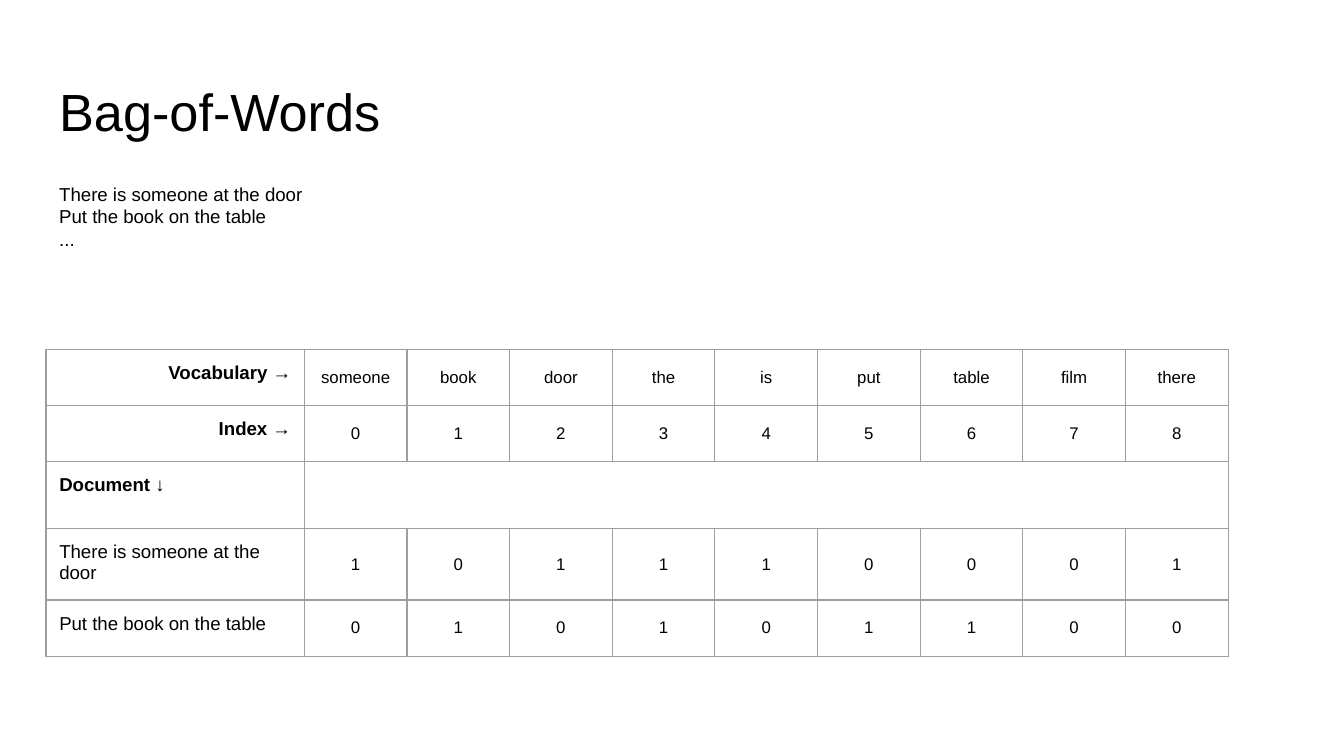
from pptx import Presentation
from pptx.dml.color import RGBColor
from pptx.enum.text import MSO_ANCHOR as Anchor, PP_ALIGN as Align
from pptx.oxml import parse_xml
from pptx.oxml.ns import nsdecls
from pptx.util import Cm, Pt

COLORS = {"text": "000000", "border": "9E9E9E"}
FONT = "Arial"
INSET = Cm(0.25)
SENTENCES = ["There is someone at the door", "Put the book on the table"]
VOCABULARY = ["someone", "book", "door", "the", "is", "put", "table", "film", "there"]


def add_span(para, text, size, bold=False):
    span = para.add_run()
    span.text = text
    span.font.name = FONT
    span.font.size = Pt(size)
    span.font.bold = bold
    span.font.color.rgb = RGBColor.from_string(COLORS["text"])


def add_text(page, box, lines, size):
    """Place one paragraph per line inside the box."""
    frame = page.shapes.add_textbox(*box).text_frame
    frame.word_wrap = True
    frame.margin_left = frame.margin_right = INSET
    frame.margin_top = frame.margin_bottom = INSET
    for number, line in enumerate(lines):
        para = frame.add_paragraph() if number else frame.paragraphs[0]
        add_span(para, line, size)


def style_cell(cell):
    """Clear the fill, set the margins and draw all four borders."""
    cell.margin_left = cell.margin_right = INSET
    cell.margin_top = cell.margin_bottom = INSET
    properties = cell._tc.get_or_add_tcPr()
    for side in ("lnL", "lnR", "lnT", "lnB"):
        properties.append(parse_xml(
            f'<a:{side} {nsdecls("a")} w="{Pt(0.75)}"><a:solidFill>'
            f'<a:srgbClr val="{COLORS["border"]}"/></a:solidFill></a:{side}>'))
    cell.fill.background()


def add_count_table(page, box):
    """Place the vocabulary, its indexes and the word counts per document."""
    left, top, width, height = box
    # Label, label alignment, bold label, values, row height in cm
    rows = [
        ("Vocabulary →", Align.RIGHT, True, VOCABULARY, 1.06),
        ("Index →", Align.RIGHT, True, range(len(VOCABULARY)), 1.06),
        ("Document ↓", Align.LEFT, True, [], 1.22),
    ]
    for sentence, row_height in zip(SENTENCES, (1.3, 1.06)):
        words = sentence.lower().split()
        counts = [int(word in words) for word in VOCABULARY]
        rows.append((sentence, Align.LEFT, False, counts, row_height))

    table = page.shapes.add_table(len(rows), len(VOCABULARY) + 1, *box).table
    table.first_row = table.horz_banding = False
    label_width = Cm(4.88)
    for number, column in enumerate(table.columns):
        column.width = (width - label_width) // len(VOCABULARY) if number else label_width

    for number, (label, align, bold, values, row_height) in enumerate(rows):
        table.rows[number].height = Cm(row_height)
        cells = list(table.rows[number].cells)
        for cell in cells:
            style_cell(cell)
        para = cells[0].text_frame.paragraphs[0]
        para.alignment = align
        add_span(para, label, 10, bold)
        if not values:
            cells[1].merge(cells[-1])
        for cell, value in zip(cells[1:], values):
            cell.vertical_anchor = Anchor.MIDDLE
            para = cell.text_frame.paragraphs[0]
            para.alignment = Align.CENTER
            add_span(para, str(value), 9)


def main():
    deck = Presentation()
    deck.slide_width, deck.slide_height = Cm(25.4), Cm(14.29)
    page = deck.slides.add_slide(deck.slide_layouts[6])
    left, width = Cm(0.87), Cm(23.67)

    # Title, example sentences and table
    add_text(page, (left, Cm(1.24), width, Cm(1.6)), ["Bag-of-Words"], 28)
    add_text(page, (left, Cm(3.2), width, Cm(9.5)), [*SENTENCES, "..."], 10)
    add_count_table(page, (left, Cm(6.61), Cm(22.34), Cm(5.7)))
    deck.save("out.pptx")


if __name__ == "__main__":
    main()
